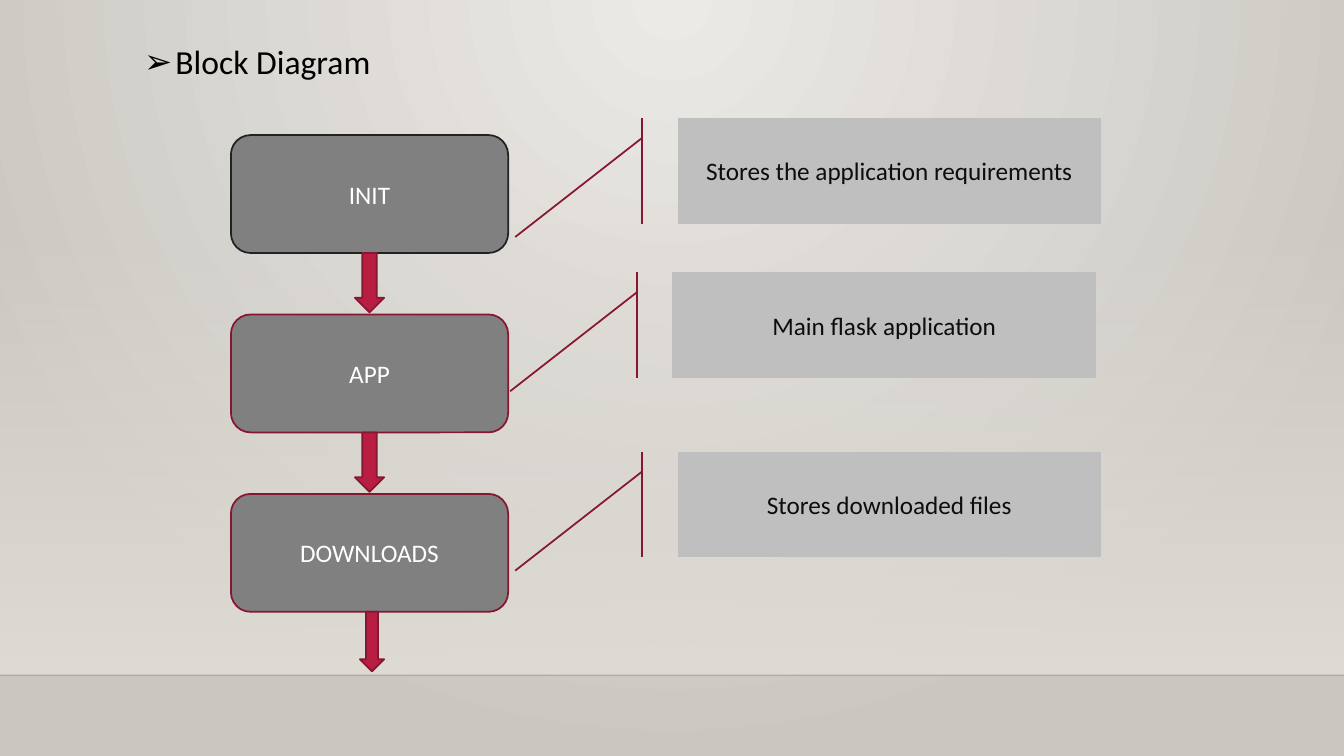
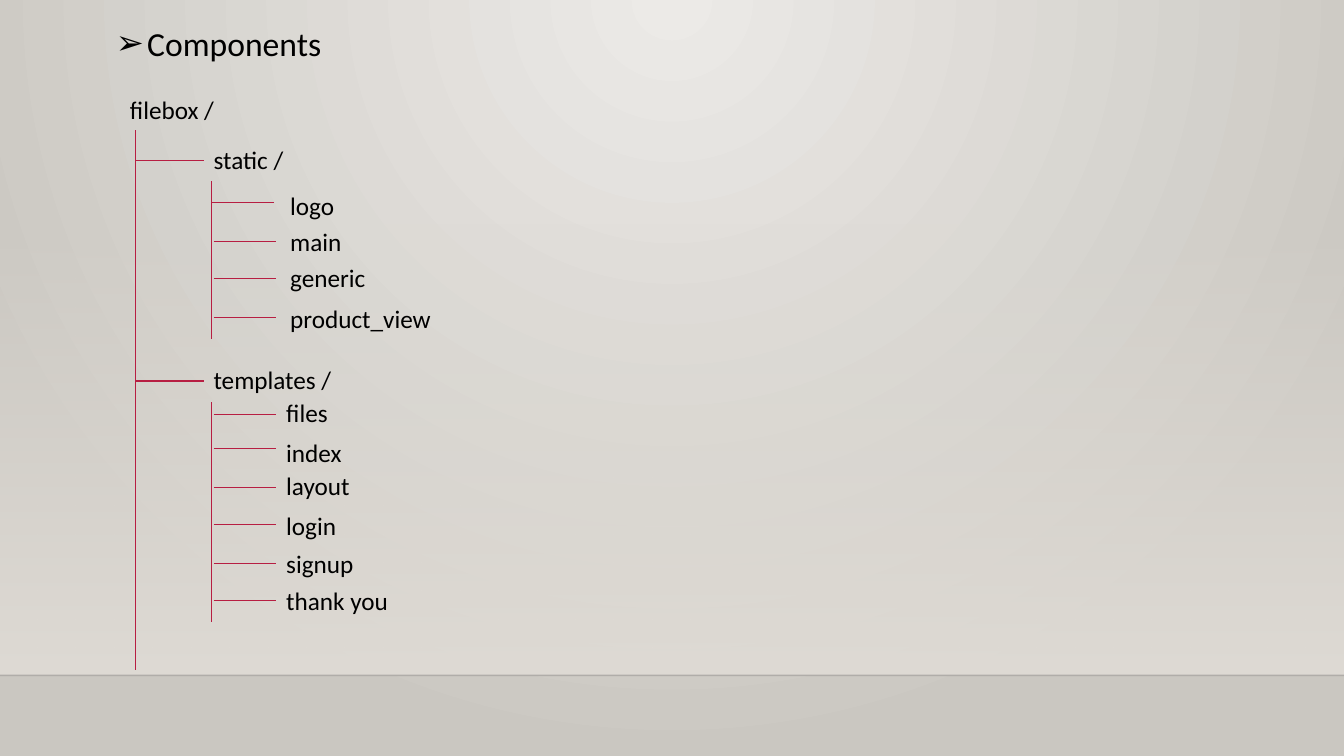
"""Build two slides: a block diagram and a tree of components."""
from dataclasses import dataclass

from lxml import etree
from pptx import Presentation
from pptx.dml.color import RGBColor
from pptx.enum.dml import MSO_FILL
from pptx.enum.shapes import MSO_CONNECTOR, MSO_SHAPE
from pptx.enum.text import MSO_ANCHOR, MSO_AUTO_SIZE, PP_ALIGN
from pptx.oxml import parse_xml
from pptx.oxml.ns import nsdecls, qn
from pptx.shapes.autoshape import Shape
from pptx.shapes.connector import Connector
from pptx.slide import Slide, SlideMaster
from pptx.util import Inches, Pt

RECTANGLE = MSO_SHAPE.RECTANGLE
ROUNDED = MSO_SHAPE.ROUNDED_RECTANGLE
DOWN_ARROW = MSO_SHAPE.DOWN_ARROW
CALLOUT = MSO_SHAPE.LINE_CALLOUT_1_ACCENT_BAR
STRAIGHT = MSO_CONNECTOR.STRAIGHT
TOP, MIDDLE = MSO_ANCHOR.TOP, MSO_ANCHOR.MIDDLE
LEFT, CENTER = PP_ALIGN.LEFT, PP_ALIGN.CENTER
NO_AUTOFIT = MSO_AUTO_SIZE.NONE
SOLID = MSO_FILL.SOLID

FONT = "Calibri"
BLACK, WHITE, INK = "000000", "FFFFFF", "0D0D0D"
CRIMSON, DARK_CRIMSON, CHARCOAL = "B71E42", "871631", "222222"
BLOCK_GRAY, NOTE_GRAY = "808080", "BFBFBF"
GLOW_INNER, GLOW_OUTER, WALL, FLOOR_EDGE = "ECEAE7", "CAC7C1", "DFDBD5", "000001"
SLIDE_WIDTH, SLIDE_HEIGHT = 13.33, 7.5
WALL_TOP, FLOOR_TOP = 2.21, 6.7

BLOCK_LEFT, BLOCK_TOP, BLOCK_STEP = 2.29, 1.34, 1.78
BLOCK_WIDTH, BLOCK_HEIGHT = 2.75, 1.17
NOTE_WIDTH, NOTE_HEIGHT = 4.2, 1.05
ARROW_HEIGHT = 0.59

TRUNK_X, STEM_X = 1.34, 2.1
BRANCH_LENGTH, TICK_LENGTH = 0.68, 0.62
LABEL_WIDTH, LABEL_HEIGHT = 2.12, 0.4


@dataclass
class Block:
    """A step of the diagram with its note and the arrow below."""

    label: str
    outline: str
    note: str
    note_left: float
    note_top: float
    arrow_left: float
    arrow_width: float


@dataclass
class Leaf:
    """An entry of a folder, with its tick mark."""

    label: str
    top: float
    tick_left: float
    tick_y: float


@dataclass
class Folder:
    """A branch of the tree with its entries."""

    label: str
    branch_y: float
    stem_bottom: float
    leaf_left: float
    leaves: list[Leaf]


BLOCKS = [
    Block("INIT", CHARCOAL, "Stores the application requirements", 6.72, 1.17, 3.52, 0.29),
    Block("APP", DARK_CRIMSON, "Main flask application", 6.67, 2.7, 3.52, 0.29),
    Block("DOWNLOADS", DARK_CRIMSON, "Stores downloaded files", 6.72, 4.48, 3.57, 0.24),
]
FOLDERS = [
    Folder("static /", 1.59, 3.36, 2.78, [
        Leaf("logo", 1.84, 2.1, 2.01),
        Leaf("main", 2.2, 2.12, 2.4),
        Leaf("generic", 2.55, 2.12, 2.76),
        Leaf("product_view", 2.96, 2.12, 3.15),
    ]),
    Folder("templates /", 3.78, 6.17, 2.74, [
        Leaf("files", 3.89, 2.12, 4.11),
        Leaf("index", 4.29, 2.12, 4.45),
        Leaf("layout", 4.62, 2.12, 4.84),
        Leaf("login", 5.01, 2.12, 5.2),
        Leaf("signup", 5.39, 2.12, 5.59),
        Leaf("thank you", 5.76, 2.12, 5.96),
    ]),
]


def color(value: str) -> RGBColor:
    """Turn a hex string into a colour."""
    return RGBColor.from_string(value)


def write_text(shape: Shape, text: str, size: float, text_color: str,
               alignment: PP_ALIGN, anchor: MSO_ANCHOR) -> None:
    """Set and format the single paragraph of a shape."""
    frame = shape.text_frame
    frame.text = text
    frame.word_wrap = True
    frame.auto_size = NO_AUTOFIT
    frame.vertical_anchor = anchor
    paragraph = frame.paragraphs[0]
    paragraph.alignment = alignment
    font = paragraph.runs[0].font
    font.name, font.size = FONT, Pt(size)
    font.color.rgb = color(text_color)


def add_box(slide: Slide, kind: MSO_SHAPE, left: float, top: float, width: float,
            height: float, fill: str, outline: str = "") -> Shape:
    """Add a filled preset shape without shadow."""
    shape = slide.shapes.add_shape(kind, Inches(left), Inches(top), Inches(width), Inches(height))
    shape.shadow.inherit = False
    shape.fill.solid()
    shape.fill.fore_color.rgb = color(fill)
    if outline:
        shape.line.color.rgb = color(outline)
        shape.line.width = Pt(1.25)
    else:
        shape.line.fill.background()
    return shape


def add_line(slide: Slide, start: tuple[float, float], end: tuple[float, float],
             line_color: str = CRIMSON, width: float = 0.75) -> Connector:
    """Add a straight line without shadow."""
    line = slide.shapes.add_connector(STRAIGHT, *(Inches(value) for value in (*start, *end)))
    line.line.color.rgb = color(line_color)
    line.line.width = Pt(width)
    etree.SubElement(line.element.spPr, qn("a:effectLst"))
    return line


def add_label(slide: Slide, text: str, left: float, top: float) -> None:
    """Add a plain label of the tree."""
    label = slide.shapes.add_textbox(
        Inches(left), Inches(top), Inches(LABEL_WIDTH), Inches(LABEL_HEIGHT))
    write_text(label, text, 18, BLACK, LEFT, TOP)


def add_title(slide: Slide, text: str, left: float, top: float) -> None:
    """Place the title with its arrow bullet."""
    title = slide.shapes.title
    title.left, title.top = Inches(left), Inches(top)
    title.width, title.height = Inches(10.41), Inches(0.5)
    write_text(title, text, 24, BLACK, LEFT, TOP)
    properties = title.text_frame.paragraphs[0].runs[0].font
    properties.bold = False
    indent = Inches(0.31)
    paragraph_properties = title.element.xpath(".//a:pPr")[0]
    paragraph_properties.set("marL", str(indent))
    paragraph_properties.set("indent", str(-indent))
    etree.SubElement(paragraph_properties, qn("a:buFont")).set("typeface", "Arial")
    etree.SubElement(paragraph_properties, qn("a:buChar")).set("char", "➢")


def make_gradient(properties: etree.ElementBase, first: str, last: str,
                  first_alpha: int, direction: str) -> None:
    """Replace the solid fill of some properties by a two-colour gradient."""
    gradient = parse_xml(
        f'<a:gradFill {nsdecls("a")} rotWithShape="1"><a:gsLst>'
        f'<a:gs pos="0"><a:srgbClr val="{first}"><a:alpha val="{first_alpha}"/></a:srgbClr></a:gs>'
        f'<a:gs pos="100000"><a:srgbClr val="{last}"/></a:gs>'
        f'</a:gsLst>{direction}</a:gradFill>')
    properties.replace(properties.find(qn("a:solidFill")), gradient)


def style_master(master: SlideMaster, slide: Slide) -> None:
    """Give the master its glow, wall and floor edge."""
    fill = master.background.fill
    fill.solid()
    fill.fore_color.rgb = color(GLOW_INNER)
    make_gradient(
        master.element.xpath("./p:cSld/p:bg/p:bgPr")[0], GLOW_INNER, GLOW_OUTER, 100000,
        '<a:path path="circle"><a:fillToRect l="43000" t="0" r="43000" b="100000"/></a:path>')
    wall = add_box(slide, RECTANGLE, 0, WALL_TOP, SLIDE_WIDTH, FLOOR_TOP - WALL_TOP, WALL)
    make_gradient(wall.element.spPr, WALL, WALL, 0, '<a:lin ang="5400000" scaled="0"/>')
    edge = add_line(slide, (0, FLOOR_TOP), (SLIDE_WIDTH, FLOOR_TOP), FLOOR_EDGE, 1)
    edge_color = edge.element.spPr.xpath("./a:ln/a:solidFill/a:srgbClr")[0]
    etree.SubElement(edge_color, qn("a:alpha")).set("val", "20000")
    for index, shape in enumerate((wall, edge)):
        shape.element.xpath(".//p:cNvPr")[0].set("id", str(101 + index))
        master.shapes.element.insert(2 + index, shape.element)


def draw_block_diagram(slide: Slide) -> None:
    """Draw the blocks, their notes and the arrows."""
    add_title(slide, "Block Diagram", 1.33, 0.36)
    for index, block in enumerate(BLOCKS):
        top = BLOCK_TOP + index * BLOCK_STEP
        box = add_box(slide, ROUNDED, BLOCK_LEFT, top, BLOCK_WIDTH, BLOCK_HEIGHT,
                      BLOCK_GRAY, block.outline)
        write_text(box, block.label, 18, WHITE, CENTER, MIDDLE)
        note = add_box(slide, CALLOUT, block.note_left, block.note_top, NOTE_WIDTH,
                       NOTE_HEIGHT, NOTE_GRAY, DARK_CRIMSON)
        write_text(note, block.note, 18, INK, CENTER, MIDDLE)
        add_box(slide, DOWN_ARROW, block.arrow_left, top + BLOCK_HEIGHT, block.arrow_width,
                ARROW_HEIGHT, CRIMSON, DARK_CRIMSON)


def draw_components(slide: Slide) -> None:
    """Draw the tree of folders and entries."""
    add_title(slide, "Components", 1.05, 0.18)
    add_label(slide, "filebox /", 1.19, 0.89)
    add_line(slide, (TRUNK_X, 1.29), (TRUNK_X, 6.65))
    for folder in FOLDERS:
        branch_end = TRUNK_X + BRANCH_LENGTH
        add_line(slide, (TRUNK_X, folder.branch_y), (branch_end, folder.branch_y))
        add_label(slide, folder.label, branch_end, folder.branch_y - 0.21)
        add_line(slide, (STEM_X, folder.branch_y + 0.21), (STEM_X, folder.stem_bottom))
        for leaf in folder.leaves:
            add_line(slide, (leaf.tick_left, leaf.tick_y),
                     (leaf.tick_left + TICK_LENGTH, leaf.tick_y))
            add_label(slide, leaf.label, folder.leaf_left, leaf.top)


def main() -> None:
    """Build and save the presentation."""
    presentation = Presentation()
    presentation.slide_width = Inches(SLIDE_WIDTH)
    presentation.slide_height = Inches(SLIDE_HEIGHT)
    layout = presentation.slide_layouts.get_by_name("Title Only")
    diagram, components = (presentation.slides.add_slide(layout) for _ in range(2))
    style_master(presentation.slide_master, diagram)
    draw_block_diagram(diagram)
    draw_components(components)
    presentation.save("out.pptx")


if __name__ == "__main__":
    main()
